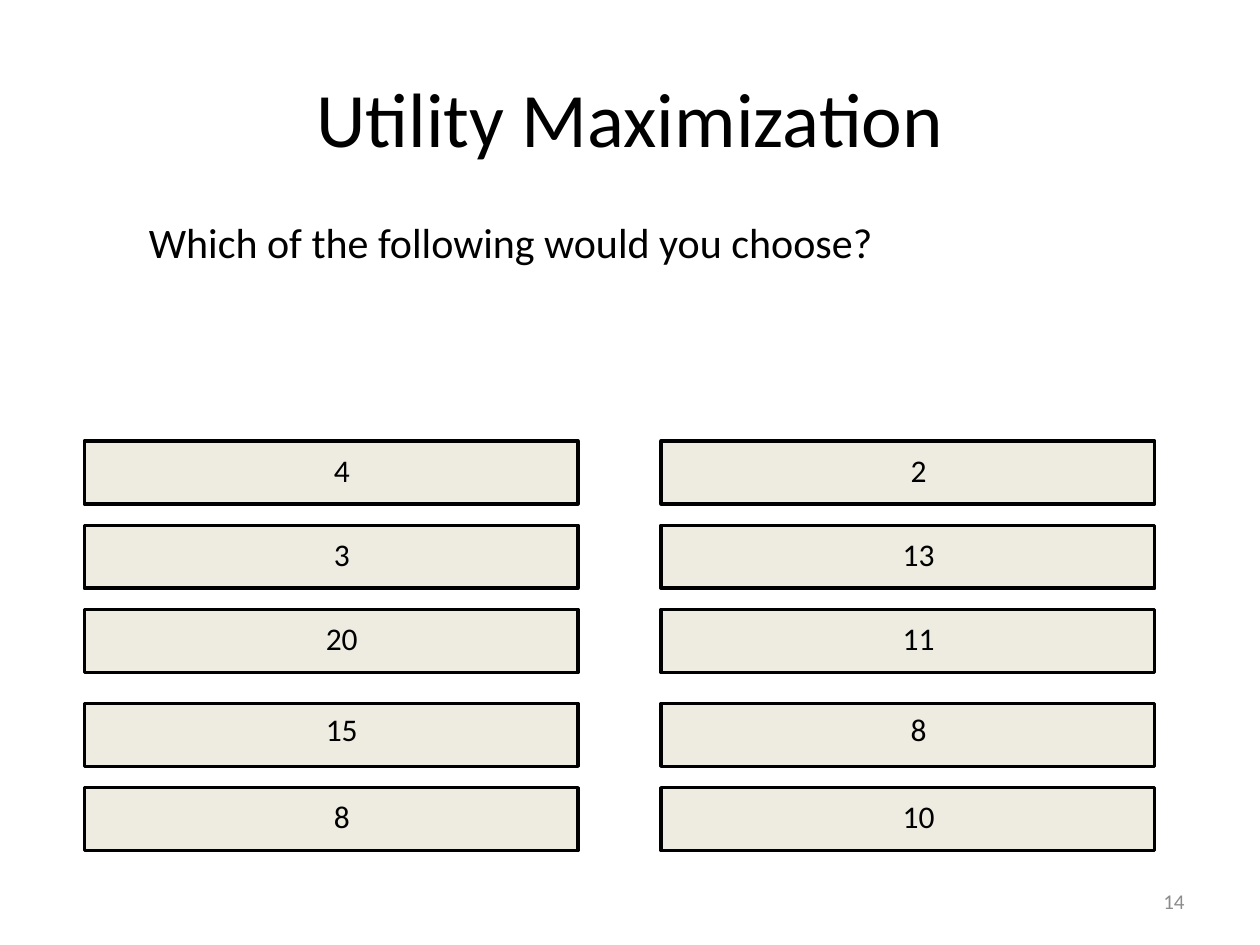
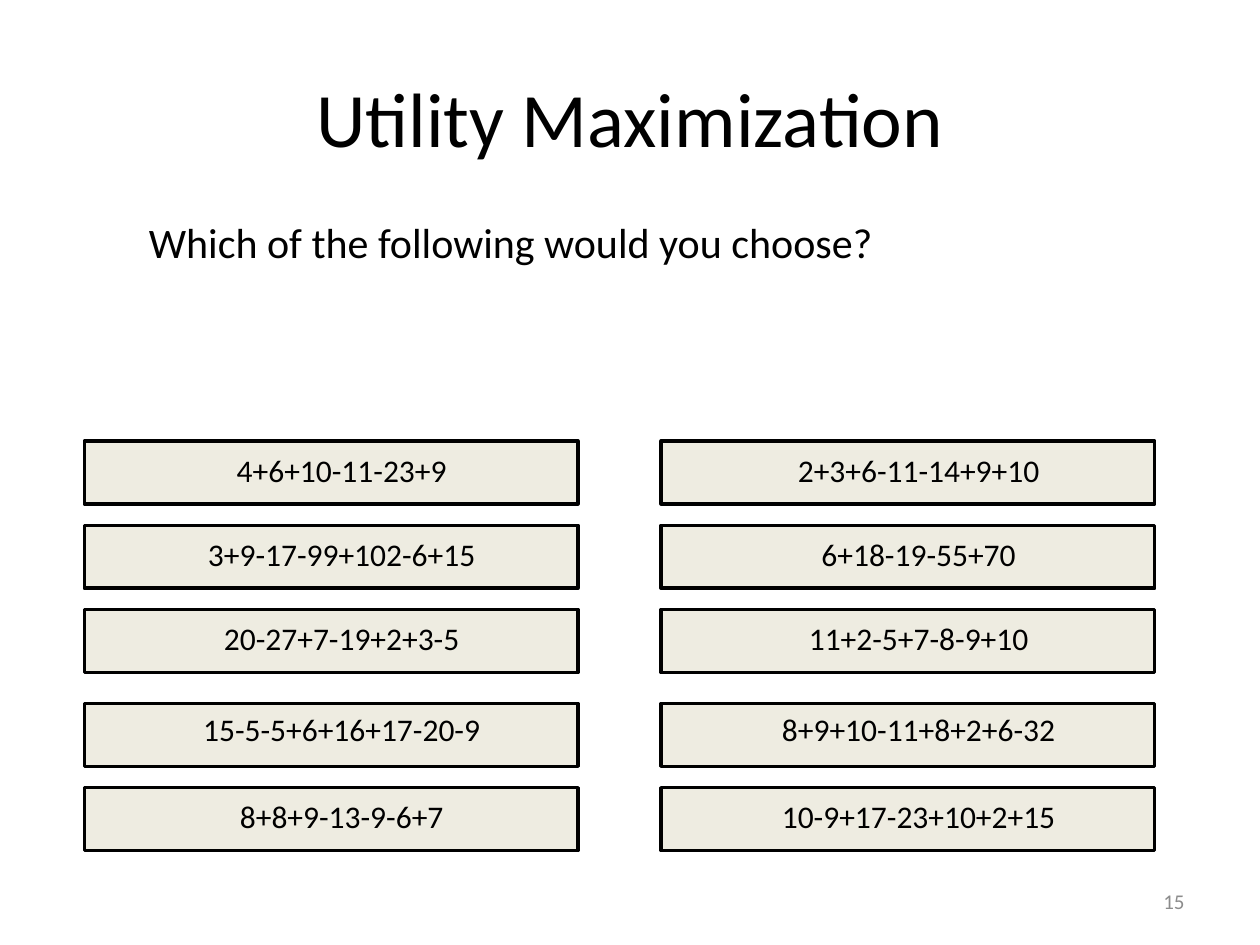
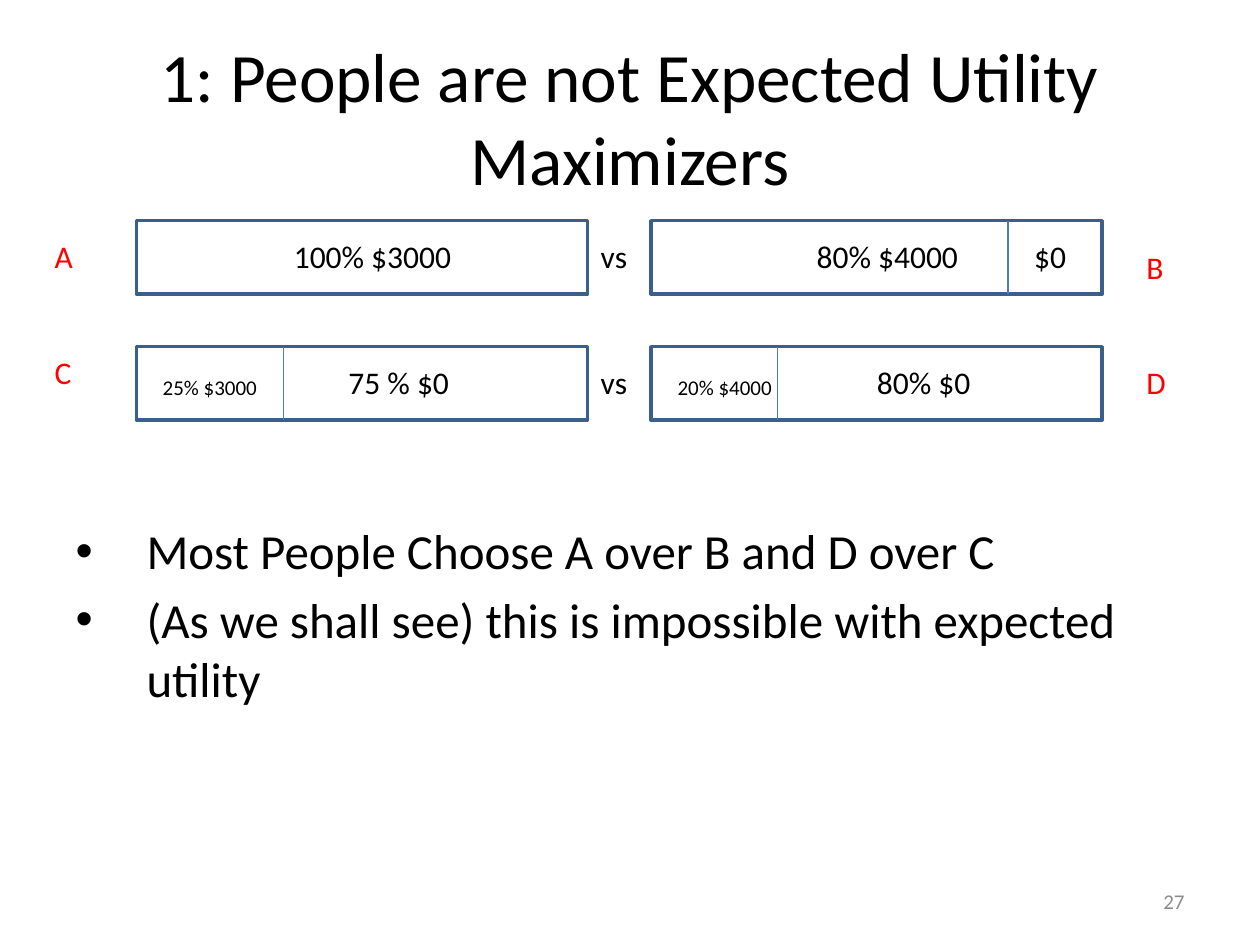
from lxml import etree
from pptx import Presentation
from pptx.dml.color import RGBColor
from pptx.enum import shapes, text
from pptx.oxml import ns
from pptx.util import Cm, Pt

FONT = "Calibri"
BLACK, WHITE, GREY, RED = "000000", "FFFFFF", "8C8C8C", "FF0000"
CREAM, NAVY, BLUE = "EEECE1", "3A5F8C", "4B7EBC"
LEFT, CENTER, RIGHT = text.PP_ALIGN.LEFT, text.PP_ALIGN.CENTER, text.PP_ALIGN.RIGHT
rgb = RGBColor.from_string


def add_text(s, words, x, y, w, h, size=18, color=BLACK, align=CENTER):
    tb = s.shapes.add_textbox(Cm(x), Cm(y), Cm(w), Cm(h))
    tf = tb.text_frame
    tf.word_wrap = True
    tf.auto_size = text.MSO_AUTO_SIZE.SHAPE_TO_FIT_TEXT
    p = tf.paragraphs[0]
    p.text = words
    p.alignment = align
    p.font.name, p.font.size = FONT, Pt(size)
    p.font.color.rgb = rgb(color)
    return tb


def add_box(s, x, y, w, h, fill, line):
    box = s.shapes.add_shape(shapes.MSO_SHAPE.RECTANGLE, Cm(x), Cm(y), Cm(w), Cm(h))
    box.shadow.inherit = False
    box.fill.solid()
    box.fill.fore_color.rgb = rgb(fill)
    box.line.color.rgb = rgb(line)
    box.line.width = Pt(2)


prs = Presentation()
prs.slide_width, prs.slide_height = Cm(25.4), Cm(19.05)
title_and_content, title_only = prs.slide_layouts[1], prs.slide_layouts[5]

# Titles and slide numbers
slides = []
for layout, title, size, number in [
    (title_only, "Utility Maximization", 44, "14"),
    (title_only, "Utility Maximization", 44, "15"),
    (title_and_content, "1: People are not Expected Utility Maximizers", 39.6, "27"),
]:
    s = prs.slides.add_slide(layout)
    sp = s.shapes.title
    sp.left, sp.top, sp.width, sp.height = Cm(1.27), Cm(0.76), Cm(22.86), Cm(3.18)
    tf = sp.text_frame
    tf.text = title
    tf.vertical_anchor = text.MSO_ANCHOR.MIDDLE
    p = tf.paragraphs[0]
    p.alignment = CENTER
    p.font.name, p.font.size = FONT, Pt(size)
    p.font.color.rgb = rgb(BLACK)
    footer = add_text(s, number, 18.21, 17.65, 5.92, 1.02, 12, GREY, RIGHT)
    footer.text_frame.auto_size = text.MSO_AUTO_SIZE.NONE
    footer.text_frame.vertical_anchor = text.MSO_ANCHOR.MIDDLE
    slides.append(s)

# Two slides of choices: a left and a right column of cards
plain_choices = [
    ["4", "3", "20", "15", "8"],
    ["2", "13", "11", "8", "10"],
]
sum_choices = [
    ["4+6+10-11-23+9", "3+9-17-99+102-6+15", "20-27+7-19+2+3-5",
     "15-5-5+6+16+17-20-9", "8+8+9-13-9-6+7"],
    ["2+3+6-11-14+9+10", "6+18-19-55+70", "11+2-5+7-8-9+10",
     "8+9+10-11+8+2+6-32", "10-9+17-23+10+2+15"],
]
for s, columns in zip(slides, [plain_choices, sum_choices]):
    add_text(s, "Which of the following would you choose?",
             2.75, 4.23, 19.9, 1.27, 24, align=LEFT)
    for x, choices in zip([1.7, 13.33], columns):
        for row, choice in enumerate(choices):
            y = 8.89 + 1.7 * row + (0.19 if row > 2 else 0)
            add_box(s, x, y, 9.95, 1.27, CREAM, BLACK)
            add_text(s, choice, x + 1.48, y + (0 if row == 3 else 0.07), 7.42, 1.07)

# Lotteries A to D: bars, dividers and labels
s = slides[2]
bar_h = 1.48
for y, dividers in [(4.45, [20.32]), (6.99, [5.72, 15.67])]:
    for x in [2.75, 13.12]:
        add_box(s, x, y, 9.1, bar_h, WHITE, NAVY)
    for x in dividers:
        line = s.shapes.add_connector(shapes.MSO_CONNECTOR.STRAIGHT,
                                      Cm(x), Cm(y), Cm(x), Cm(y + bar_h))
        line.line.color.rgb = rgb(BLUE)
        line.line.width = Pt(0.75)
        etree.SubElement(line._element.spPr, ns.qn("a:effectLst"))
    add_text(s, "vs", 11.86, y + 0.2, 1.48, 1.02, align=LEFT)

for outcome, x, y, w, size in [
    ("100% $3000", 4.02, 4.65, 6.98, 18),
    ("80% $4000", 14.4, 4.65, 6.98, 18),
    ("$0", 20.32, 4.65, 1.7, 18),
    ("25% $3000", 2.96, 7.42, 2.54, 12),
    ("75 % $0", 6.56, 7.19, 2.96, 18),
    ("20% $4000", 13.34, 7.42, 2.54, 12),
    ("80% $0", 17.35, 7.19, 2.54, 18),
]:
    add_text(s, outcome, x, y, w, 1.02 if size == 18 else 0.76, size)

for letter, x, y in [("A", 0.85, 4.65), ("B", 22.86, 4.88),
                     ("C", 0.85, 6.99), ("D", 22.86, 7.19)]:
    add_text(s, letter, x, y, 1.27, 1.02, color=RED, align=LEFT)

# Findings
body = s.placeholders[1]
body.left, body.top, body.width, body.height = Cm(1.27), Cm(10.37), Cm(22.86), Cm(6.65)
body.text_frame.text = ("Most People Choose A over B and D over C\n"
                        "(As we shall see) this is impossible with expected utility")
for p in body.text_frame.paragraphs:
    p.font.name, p.font.size = FONT, Pt(28)
    p.font.color.rgb = rgb(BLACK)
    pPr = p._p.get_or_add_pPr()
    pPr.set("marL", str(Cm(1.43)))
    pPr.set("indent", str(-Cm(1.43)))

prs.save("out.pptx")
